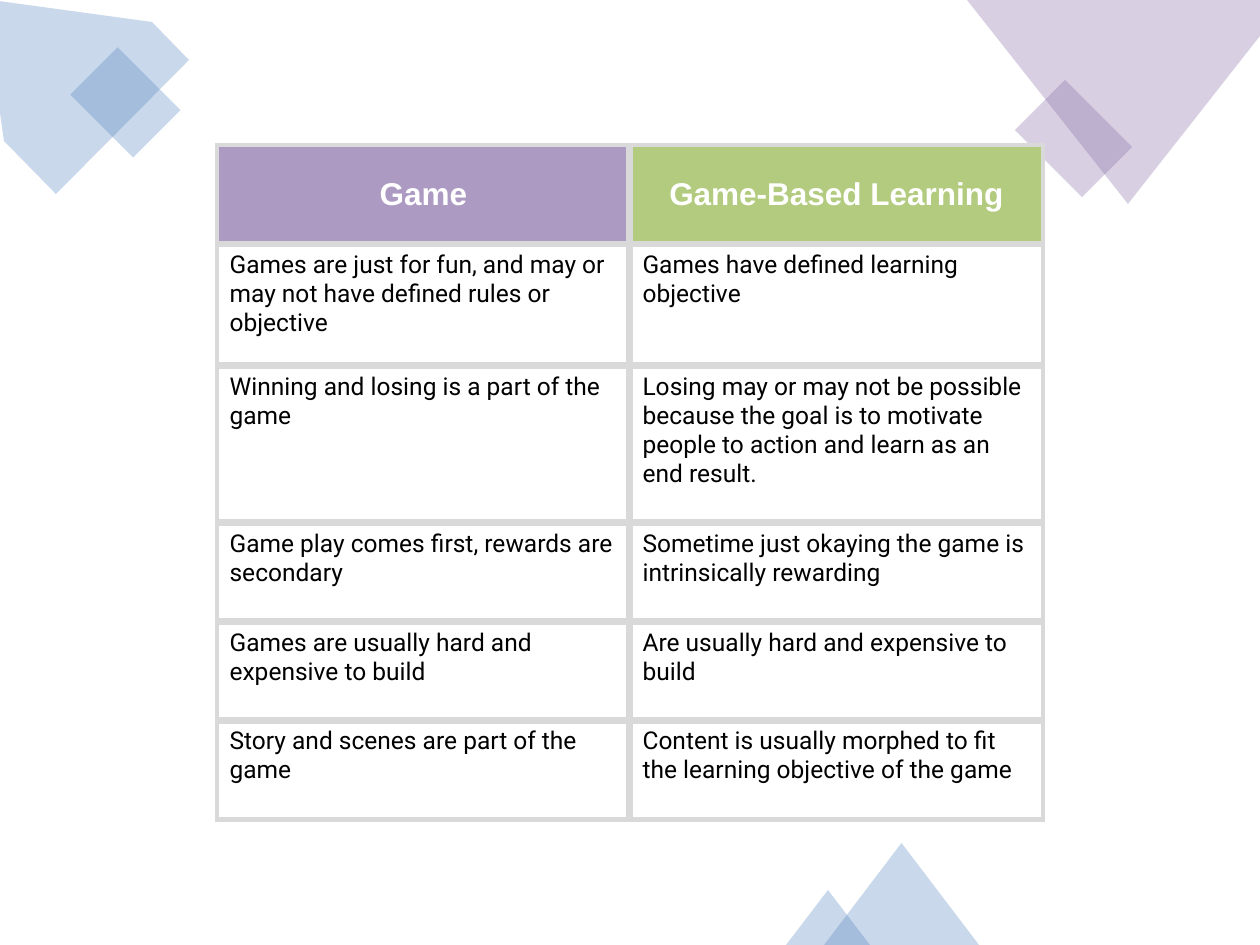
from lxml.etree import SubElement
from pptx import Presentation
from pptx.dml.color import RGBColor
from pptx.enum.shapes import MSO_SHAPE
from pptx.enum.text import MSO_ANCHOR, PP_ALIGN
from pptx.oxml import parse_xml
from pptx.oxml.ns import nsdecls, qn
from pptx.util import Pt

PX = 914400 / 126
BLUE = RGBColor(0x4F, 0x81, 0xBD)
PURPLE = RGBColor(0x80, 0x64, 0xA2)
LILAC = RGBColor(0xAC, 0x9A, 0xC2)
GREEN = RGBColor(0xB2, 0xCB, 0x7F)
GREY = RGBColor(0xD9, 0xD9, 0xD9)
WHITE = RGBColor(0xFF, 0xFF, 0xFF)
BLACK = RGBColor(0, 0, 0)

HEADER = {"name": "Arial", "size": Pt(18), "bold": True}
BODY = {"name": "Roboto", "size": Pt(14), "bold": False}

ROWS = [
    ("Game", "Game-Based Learning"),
    ("Games are just for fun, and may or may not have defined rules or objective",
     "Games have defined learning objective"),
    ("Winning and losing is a part of the game",
     "Losing may or may not be possible because the goal is to motivate "
     "people to action and learn as an end result."),
    ("Game play comes first, rewards are secondary",
     "Sometime just okaying the game is intrinsically rewarding"),
    ("Games are usually hard and expensive to build",
     "Are usually hard and expensive to build"),
    ("Story and scenes are part of the game",
     "Content is usually morphed to fit the learning objective of the game"),
]
ROW_HEIGHTS = [99, 122, 157, 99, 99, 99]
COL_WIDTH = 413


def px(n):
    return round(n * PX)


def tint(sp, color):
    sp.shadow.inherit = False
    sp.line.fill.background()
    sp.fill.solid()
    sp.fill.fore_color.rgb = color
    clr = sp._element.spPr.find(qn("a:solidFill"))[0]
    SubElement(clr, qn("a:alpha"), val="30000")


def add_preset(s, kind, box, color, rotation=0):
    sp = s.shapes.add_shape(kind, *map(px, box))
    sp.rotation = rotation
    tint(sp, color)


def add_polygon(s, points, color):
    builder = s.shapes.build_freeform(*points[0], scale=PX)
    builder.add_line_segments(points[1:], close=True)
    tint(builder.convert_to_shape(), color)


def set_borders(cell, widths):
    tcPr = cell._tc.get_or_add_tcPr()
    for i, (side, width) in enumerate(widths.items()):
        tcPr.insert(i, parse_xml(
            f'<a:ln{side} {nsdecls("a")} w="{Pt(width)}"><a:solidFill>'
            f'<a:srgbClr val="{GREY}"/></a:solidFill></a:ln{side}>'))


def fill_cell(cell, text, fill, color, fmt):
    cell.fill.solid()
    cell.fill.fore_color.rgb = fill
    p = cell.text_frame.paragraphs[0]
    r = p.add_run()
    r.text = text
    for name, value in fmt.items():
        setattr(r.font, name, value)
    r.font.color.rgb = color
    return p


def add_comparison(s, left, top):
    table = s.shapes.add_table(
        len(ROWS), 2, px(left), px(top),
        px(2 * COL_WIDTH), px(sum(ROW_HEIGHTS))).table
    for col in table.columns:
        col.width = px(COL_WIDTH)
    last = len(ROWS) - 1
    for i, texts in enumerate(ROWS):
        table.rows[i].height = px(ROW_HEIGHTS[i])
        for j, text in enumerate(texts):
            cell = table.cell(i, j)
            if i == 0:
                p = fill_cell(cell, text, (LILAC, GREEN)[j], WHITE, HEADER)
                p.alignment = PP_ALIGN.CENTER
                cell.vertical_anchor = MSO_ANCHOR.MIDDLE
            else:
                fill_cell(cell, text, WHITE, BLACK, BODY)
            outer = {"L": j == 0, "R": j == 1, "T": i == 0, "B": i == last}
            set_borders(cell, {k: 3 if v else 4.5 for k, v in outer.items()})


def main():
    prs = Presentation()
    prs.slide_width, prs.slide_height = px(1260), px(945)
    s = prs.slides.add_slide(prs.slide_layouts[6])
    add_polygon(s, [(152, 22), (-16, -1), (4, 141), (56, 194), (189, 60)], BLUE)
    add_preset(s, MSO_SHAPE.RECTANGLE, (92, 58, 67, 89), BLUE, 315)
    add_preset(s, MSO_SHAPE.RECTANGLE, (1038, 91, 71, 95), PURPLE, 315)
    add_polygon(s, [(1260, 0), (967, 0), (1128, 204), (1260, 36)], PURPLE)
    add_preset(s, MSO_SHAPE.ISOSCELES_TRIANGLE, (824, 843, 155, 102), BLUE)
    add_preset(s, MSO_SHAPE.ISOSCELES_TRIANGLE, (786, 890, 84, 55), BLUE)
    add_comparison(s, 217, 145)
    prs.save("out.pptx")


if __name__ == "__main__":
    main()
